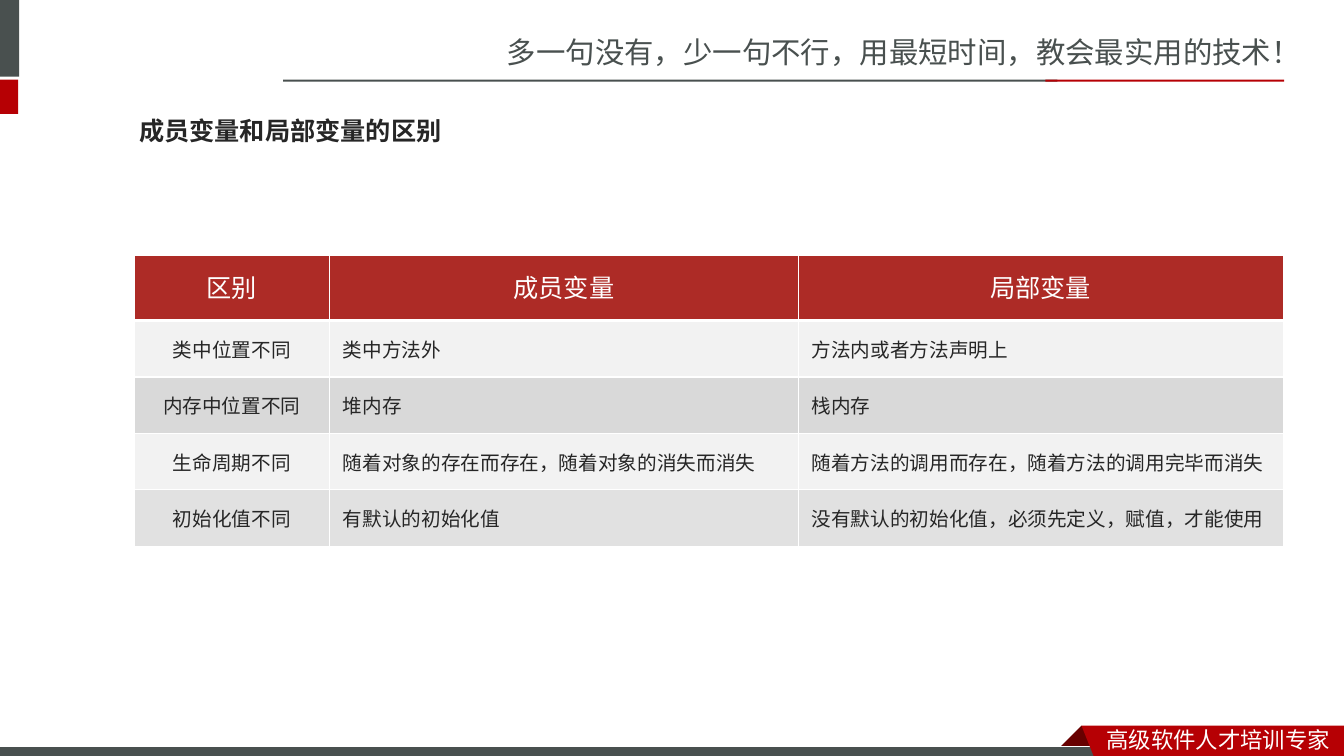
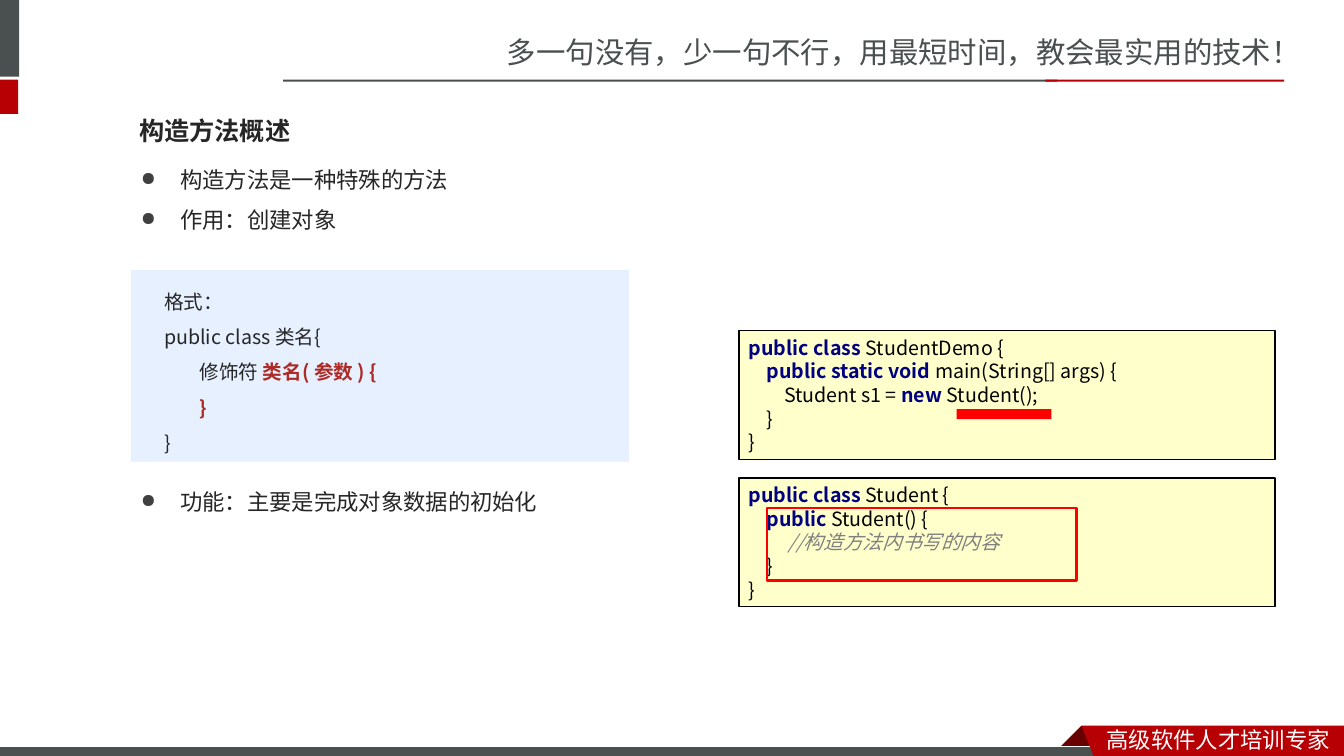
from dataclasses import dataclass
from typing import Any, Optional

import lxml.etree
import pptx
import pptx.dml.color
import pptx.enum.shapes
import pptx.enum.text
import pptx.oxml.ns
import pptx.util

Pt = pptx.util.Pt
ALIGN = pptx.enum.text.PP_ALIGN
ANCHOR = pptx.enum.text.MSO_ANCHOR
RECTANGLE = pptx.enum.shapes.MSO_SHAPE.RECTANGLE

# The slide is a grid of 160 columns by 90 rows, with square cells.
CELL = pptx.util.Inches(1) / 12
COLUMNS, ROWS = 160, 90

HEADER_FONT = "Noto Sans CJK SC"
BODY_FONT = "Noto Sans CJK JP"
GREY, RED, DARK_RED = "49504F", "B60004", "680000"
INK, ACCENT, WHITE, BLACK = "262626", "AD2B26", "FFFFFF", "000000"
KEYWORD, COMMENT, MARK = "000080", "808080", "FF0000"
CODE_FILL, FORMAT_FILL = "FFFFCC", "E6F0FF"
LIGHT_ROW, DARK_ROW, SOFT_ROW = "F2F2F2", "D9D9D9", "E1E1E1"


@dataclass(frozen=True)
class Area:
    left: float
    top: float
    width: float
    height: float

    def lengths(self) -> list[int]:
        return [cells(n) for n in (self.left, self.top, self.width, self.height)]


@dataclass(frozen=True)
class Style:
    size: float
    color: str = INK
    font: str = BODY_FONT
    bold: bool = False
    italic: bool = False


@dataclass(frozen=True)
class Span:
    text: str
    style: Style


@dataclass(frozen=True)
class Line:
    spans: tuple[Span, ...]
    indent: float = 0
    hanging: float = 0
    bullet: str = ""
    format: Optional[dict[str, Any]] = None


@dataclass(frozen=True)
class Block:
    area: Area
    fill: Optional[str]
    line: Optional[str] = None
    weight: float = 0


@dataclass(frozen=True)
class Outline:
    points: tuple[tuple[float, float], ...]
    fill: str


HEADER = Style(21, GREY, HEADER_FONT)
FOOTER = Style(16, WHITE, HEADER_FONT)
TITLE = Style(18, bold=True)
BULLET = Style(16)
HEAD_CELL = Style(18, WHITE)
BODY_CELL = Style(14)
FORMAT = Style(14)
FORMAT_KEY = Style(14, ACCENT, bold=True)
CODE = Style(14, BLACK)
CODE_KEY = Style(14, KEYWORD, bold=True)
CODE_NOTE = Style(14, COMMENT, italic=True)

CODE_STEP = 2.1
CODE_LEADING = {"line_spacing": Pt(16.9)}
FORMAT_LEADING = {"line_spacing": Pt(25.2)}
BULLET_LEADING = {"line_spacing": Pt(28.6)}

BANDS = (
    Block(Area(0, 0, 2.28, 9.12), GREY),
    Block(Area(0, 9.48, 2.16, 4.08), RED),
    Block(Area(33.72, 9.48, 92.16, 0.24), GREY),
    Block(Area(124.44, 9.48, 28.44, 0.24), RED),
)
FOLD = Outline(((128.76, 86.4), (131.4, 89.04), (131.28, 89.16),
                (126.24, 89.16), (126.12, 89.04)), DARK_RED)
FOOTER_BAND = Block(Area(-0.12, 88.92, 132, 1.44), GREY, WHITE, 0.75)
RIBBON = Outline(((128.76, 86.4), (COLUMNS, 86.4), (COLUMNS, ROWS),
                  (130.2, ROWS)), RED)

TABLE_COLUMNS = (23.28, 55.8, 57.72)
TABLE_ROWS = (7.8, 6.72, 6.72, 6.72, 6.72)
ROW_FILLS = (ACCENT, LIGHT_ROW, DARK_ROW, LIGHT_ROW, SOFT_ROW)
DIFFERENCES = (
    ("区别", "成员变量", "局部变量"),
    ("类中位置不同", "类中方法外", "方法内或者方法声明上"),
    ("内存中位置不同", "堆内存", "栈内存"),
    ("生命周期不同", "随着对象的存在而存在，随着对象的消失而消失",
     "随着方法的调用而存在，随着方法的调用完毕而消失"),
    ("初始化值不同", "有默认的初始化值", "没有默认的初始化值，必须先定义，赋值，才能使用"),
)


def cells(count: float) -> int:
    return round(count * CELL)


def color(value: str) -> pptx.dml.color.RGBColor:
    return pptx.dml.color.RGBColor.from_string(value)


def apply(target: Any, values: dict[str, Any]) -> None:
    for name, value in values.items():
        setattr(target, name, value)


def add_node(parent: Any, tag: str, **attributes: str) -> Any:
    return lxml.etree.SubElement(parent, pptx.oxml.ns.qn(tag), attributes)


def add_span(para: Any, span: Span) -> None:
    run = para.add_run()
    run.text = span.text
    style = span.style
    apply(run.font, {"size": Pt(style.size), "name": style.font,
                     "bold": style.bold, "italic": style.italic})
    run.font.color.rgb = color(style.color)
    add_node(run.font._element, "a:ea", typeface=style.font)


def write_lines(frame: Any, lines: list[Line]) -> None:
    for index, line in enumerate(lines):
        para = frame.add_paragraph() if index else frame.paragraphs[0]
        apply(para, {"alignment": ALIGN.LEFT, **(line.format or {})})
        properties = para._p.get_or_add_pPr()
        properties.set("marL", str(cells(line.indent)))
        properties.set("indent", str(-cells(line.hanging)))
        if line.bullet:
            tint = add_node(properties, "a:buClr")
            add_node(tint, "a:srgbClr", val="404040")
            add_node(properties, "a:buSzPct", val="85000")
            add_node(properties, "a:buChar", char=line.bullet)
        for span in line.spans:
            add_span(para, span)


def finish(shape: Any, fill: Optional[str], line: Optional[str] = None,
           weight: float = 0) -> None:
    """Set fill and outline, and drop the shadow."""
    shape.shadow.inherit = False
    if fill:
        shape.fill.solid()
        shape.fill.fore_color.rgb = color(fill)
    else:
        shape.fill.background()
    if line:
        shape.line.color.rgb = color(line)
        shape.line.width = Pt(weight)
    else:
        shape.line.fill.background()


def add_block(page: Any, block: Block) -> Any:
    shape = page.shapes.add_shape(RECTANGLE, *block.area.lengths())
    finish(shape, block.fill, block.line, block.weight)
    return shape


def add_outline(page: Any, outline: Outline) -> None:
    start, *rest = [(cells(x), cells(y)) for x, y in outline.points]
    builder = page.shapes.build_freeform(*start, scale=1.0)
    builder.add_line_segments(rest, close=True)
    finish(builder.convert_to_shape(), outline.fill)


def add_text(page: Any, area: Area, lines: list[Line],
             anchor: Any = ANCHOR.TOP) -> None:
    box = page.shapes.add_textbox(*area.lengths())
    apply(box.text_frame, {"word_wrap": True, "vertical_anchor": anchor})
    write_lines(box.text_frame, lines)


def add_page(deck: Any, title: str) -> Any:
    """Add a slide with the shared bands, header, footer and title."""
    page = deck.slides.add_slide(deck.slide_layouts[5])
    add_text(page, Area(59.16, 3.36, 100.92, 5.64),
             [Line((Span("多一句没有，少一句不行，用最短时间，教会最实用的技术！", HEADER),))],
             ANCHOR.MIDDLE)
    for band in BANDS:
        add_block(page, band)
    add_outline(page, FOLD)
    add_block(page, FOOTER_BAND)
    add_outline(page, RIBBON)
    add_text(page, Area(130.56, 85.8, 29.4, 4.44),
             [Line((Span("高级软件人才培训专家", FOOTER),))], ANCHOR.MIDDLE)
    heading = page.shapes.title
    area = Area(15.36, 12.36, 135.12, 6.84).lengths()
    apply(heading, dict(zip(("left", "top", "width", "height"), area)))
    apply(heading.text_frame, {"auto_size": pptx.enum.text.MSO_AUTO_SIZE.NONE,
                               "vertical_anchor": ANCHOR.MIDDLE})
    write_lines(heading.text_frame,
                [Line((Span(title, TITLE),), format={"line_spacing": 0.9})])
    return page


def set_borders(cell: Any, top: float, bottom: float) -> None:
    properties = cell._tc.get_or_add_tcPr()
    for side, weight in (("L", 1), ("R", 1), ("T", top), ("B", bottom)):
        edge = add_node(properties, f"a:ln{side}", w=str(Pt(weight)))
        add_node(add_node(edge, "a:solidFill"), "a:srgbClr", val=WHITE)


def add_differences(page: Any) -> None:
    area = Area(15.96, 30.36, sum(TABLE_COLUMNS), sum(TABLE_ROWS))
    table = page.shapes.add_table(len(TABLE_ROWS), len(TABLE_COLUMNS),
                                  *area.lengths()).table
    apply(table, {"first_row": False, "horz_banding": False})
    for column, width in zip(table.columns, TABLE_COLUMNS):
        column.width = cells(width)
    for row, texts in enumerate(DIFFERENCES):
        table.rows[row].height = cells(TABLE_ROWS[row])
        head = row == 0
        side, edge = (1.2, 0.6) if head else (1.6, 0.8)
        for column, text in enumerate(texts):
            cell = table.cell(row, column)
            apply(cell, {"vertical_anchor": ANCHOR.MIDDLE,
                         "margin_left": cells(side), "margin_right": cells(side),
                         "margin_top": cells(edge), "margin_bottom": cells(edge)})
            set_borders(cell, 3 if row == 1 else 1, 3 if head else 1)
            cell.fill.solid()
            cell.fill.fore_color.rgb = color(ROW_FILLS[row])
            values = {"alignment": ALIGN.CENTER if head or column == 0 else ALIGN.LEFT}
            if head:
                values["line_spacing"] = Pt(24)
            style = HEAD_CELL if head else BODY_CELL
            write_lines(cell.text_frame, [Line((Span(text, style),), format=values)])


def code(level: float, *parts: tuple[str, Style]) -> Line:
    return Line(tuple(Span(*part) for part in parts), level * CODE_STEP,
                format=CODE_LEADING)


def add_code(page: Any, top: float, lines: list[Line]) -> None:
    block = Block(Area(87.96, top, 63.84, 15.36), CODE_FILL, BLACK, 1)
    frame = add_block(page, block).text_frame
    apply(frame, {"word_wrap": True, "vertical_anchor": ANCHOR.TOP})
    write_lines(frame, lines)


def add_bullets(page: Any) -> None:
    points = (("构造方法是一种特殊的方法", 0), ("作用：创建对象", 0),
              ("功能：主要是完成对象数据的初始化", 173))
    add_text(page, Area(15.6, 17.64, 141.12, 65.52), [
        Line((Span(text, BULLET),), 4.68, 4.68, "●",
             {**BULLET_LEADING, "space_before": Pt(gap)})
        for text, gap in points])


def add_format(page: Any) -> None:
    add_block(page, Block(Area(15.6, 32.16, 59.28, 22.8), FORMAT_FILL))
    lines = (
        (0, (Span("格式：", FORMAT),)),
        (0, (Span("public class 类名{", FORMAT),)),
        (2, (Span("修饰符 ", FORMAT), Span("类名( 参数 ) {", FORMAT_KEY))),
        (2, (Span("}", FORMAT_KEY),)),
        (0, (Span("}", FORMAT),)),
    )
    add_text(page, Area(18.36, 32.52, 66.6, 22.44), [
        Line(spans, level * CODE_STEP, format=FORMAT_LEADING)
        for level, spans in lines])


def main() -> None:
    deck = pptx.Presentation()
    apply(deck, {"slide_width": cells(COLUMNS), "slide_height": cells(ROWS)})

    add_differences(add_page(deck, "成员变量和局部变量的区别"))

    page = add_page(deck, "构造方法概述")
    add_bullets(page)
    closing = [code(1, ("}", CODE)), code(0, ("}", CODE))]
    add_code(page, 39.36, [
        code(0, ("public class ", CODE_KEY), ("StudentDemo {", CODE)),
        code(1, ("public static void ", CODE_KEY), ("main(String[] args) {", CODE)),
        code(2, ("Student s1 = ", CODE), ("new ", CODE_KEY), ("Student();", CODE)),
        *closing])
    add_block(page, Block(Area(113.88, 48.72, 11.28, 1.2), MARK))
    add_code(page, 56.88, [
        code(0, ("public class ", CODE_KEY), ("Student {", CODE)),
        code(1, ("public ", CODE_KEY), ("Student() {", CODE)),
        code(2.25, ("//构造方法内书写的内容", CODE_NOTE)),
        *closing])
    add_block(page, Block(Area(91.32, 60.48, 36.84, 8.64), None, MARK, 2))
    add_format(page)
    deck.save("out.pptx")


if __name__ == "__main__":
    main()
